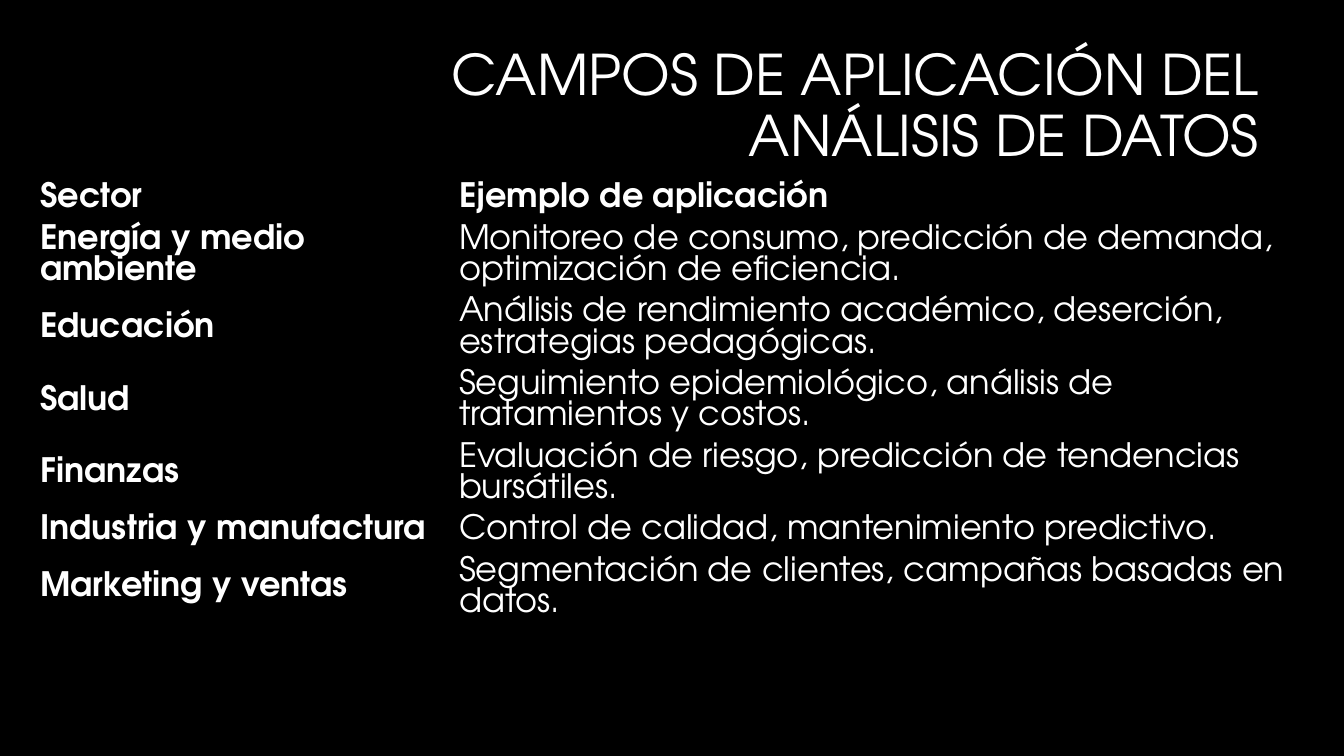
import pptx
import pptx.util
import pptx.dml.color
import pptx.enum.text

TITLE = "CAMPOS DE APLICACIÓN DEL ANÁLISIS DE DATOS"
# Sector, example, lines of text in the row
ROWS = [
    ("Sector", "Ejemplo de aplicación", 1),
    ("Energía y medio ambiente",
     "Monitoreo de consumo, predicción de demanda, optimización de eficiencia.", 2),
    ("Educación",
     "Análisis de rendimiento académico, deserción, estrategias pedagógicas.", 2),
    ("Salud", "Seguimiento epidemiológico, análisis de tratamientos y costos.", 2),
    ("Finanzas", "Evaluación de riesgo, predicción de tendencias bursátiles.", 2),
    ("Industria y manufactura", "Control de calidad, mantenimiento predictivo.", 1),
    ("Marketing y ventas", "Segmentación de clientes, campañas basadas en datos.", 2),
]
WIDTHS = (419, 863)
LINE, PAD = 31, 10

BLACK = pptx.dml.color.RGBColor(0, 0, 0)
WHITE = pptx.dml.color.RGBColor(255, 255, 255)
FONT = "TeX Gyre Adventor"
PLAIN = "{2D5ABB26-0587-4C30-8999-92F81FD0307C}"  # table style: no fill, no grid
ALIGN = pptx.enum.text.PP_ALIGN
MIDDLE = pptx.enum.text.MSO_ANCHOR.MIDDLE


def px(n):
    return pptx.util.Emu(round(n * 12192000 / 1344))


def write(frame, text, size, bold=False, align=ALIGN.LEFT, space=1.0):
    para = frame.paragraphs[0]
    para.alignment = align
    para.line_spacing = space
    run = para.add_run()
    run.text = text
    font = run.font
    font.name, font.size, font.bold = FONT, pptx.util.Pt(size), bold
    font.color.rgb = WHITE


def add_title(slide):
    title = slide.shapes.title
    title.left, title.top, title.width, title.height = map(px, (320, 37, 949, 142))
    frame = title.text_frame
    frame.word_wrap = True
    frame.auto_size = pptx.enum.text.MSO_AUTO_SIZE.NONE
    frame.vertical_anchor = MIDDLE
    write(frame, TITLE, 40, align=ALIGN.RIGHT, space=0.9)


def add_grid(slide):
    heights = [PAD + LINE * lines for *_, lines in ROWS]
    table = slide.shapes.add_table(
        len(ROWS), len(WIDTHS), px(30), px(178), px(sum(WIDTHS)), px(sum(heights))
    ).table
    table.horz_banding = False
    props = table._tbl.tblPr
    props.find(pptx.oxml.ns.qn("a:tableStyleId")).text = PLAIN
    for col, width in zip(table.columns, WIDTHS):
        col.width = px(width)
    for i, (sector, sample, _) in enumerate(ROWS):
        table.rows[i].height = px(heights[i])
        for j, text in enumerate((sector, sample)):
            cell = table.cell(i, j)
            cell.fill.background()
            cell.vertical_anchor = MIDDLE
            write(cell.text_frame, text, 24, bold=i == 0 or j == 0)


def main():
    deck = pptx.Presentation()
    deck.slide_width, deck.slide_height = px(1344), px(756)
    slide = deck.slides.add_slide(deck.slide_layouts[5])
    slide.background.fill.solid()
    slide.background.fill.fore_color.rgb = BLACK
    add_title(slide)
    add_grid(slide)
    deck.save("out.pptx")


if __name__ == "__main__":
    main()
